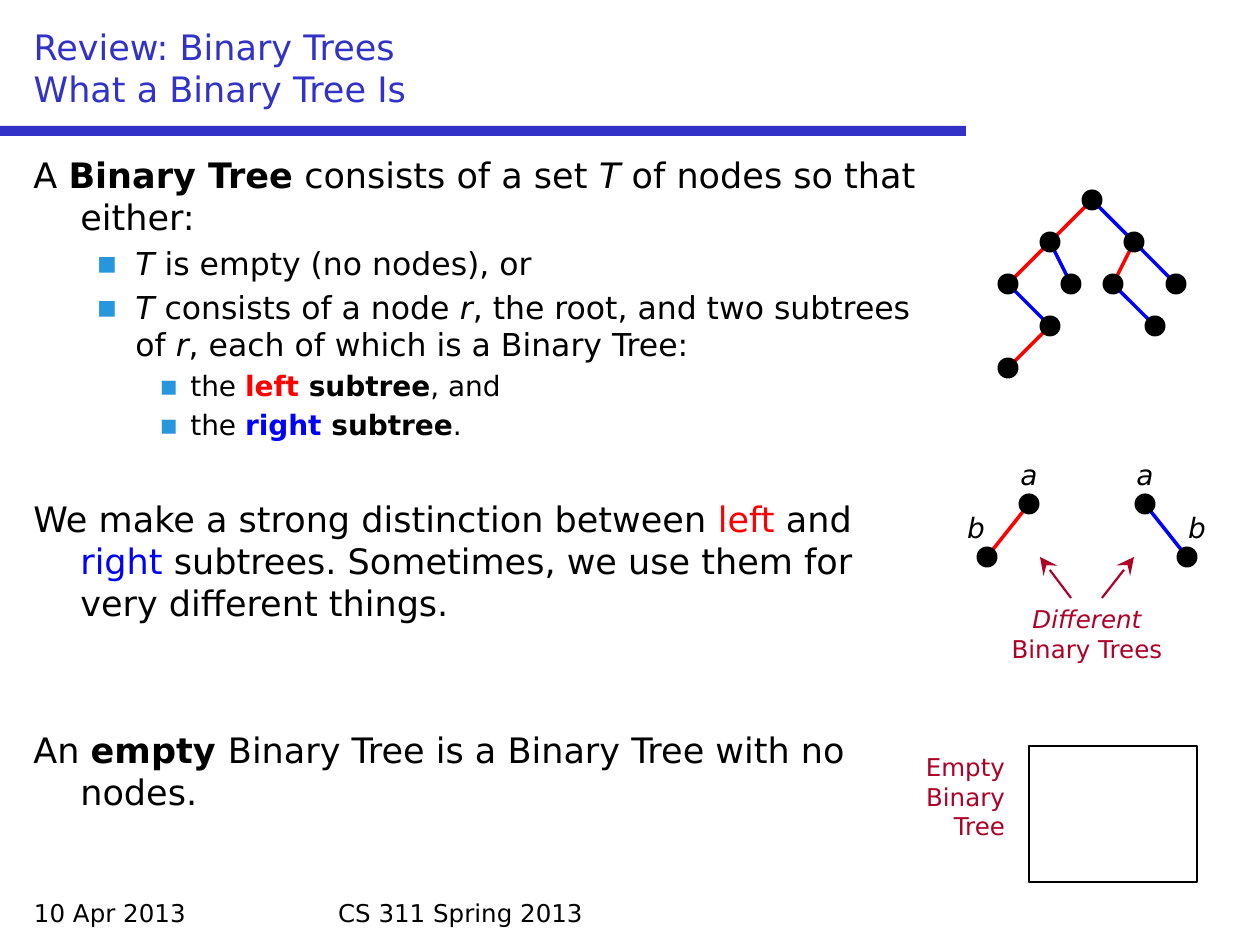
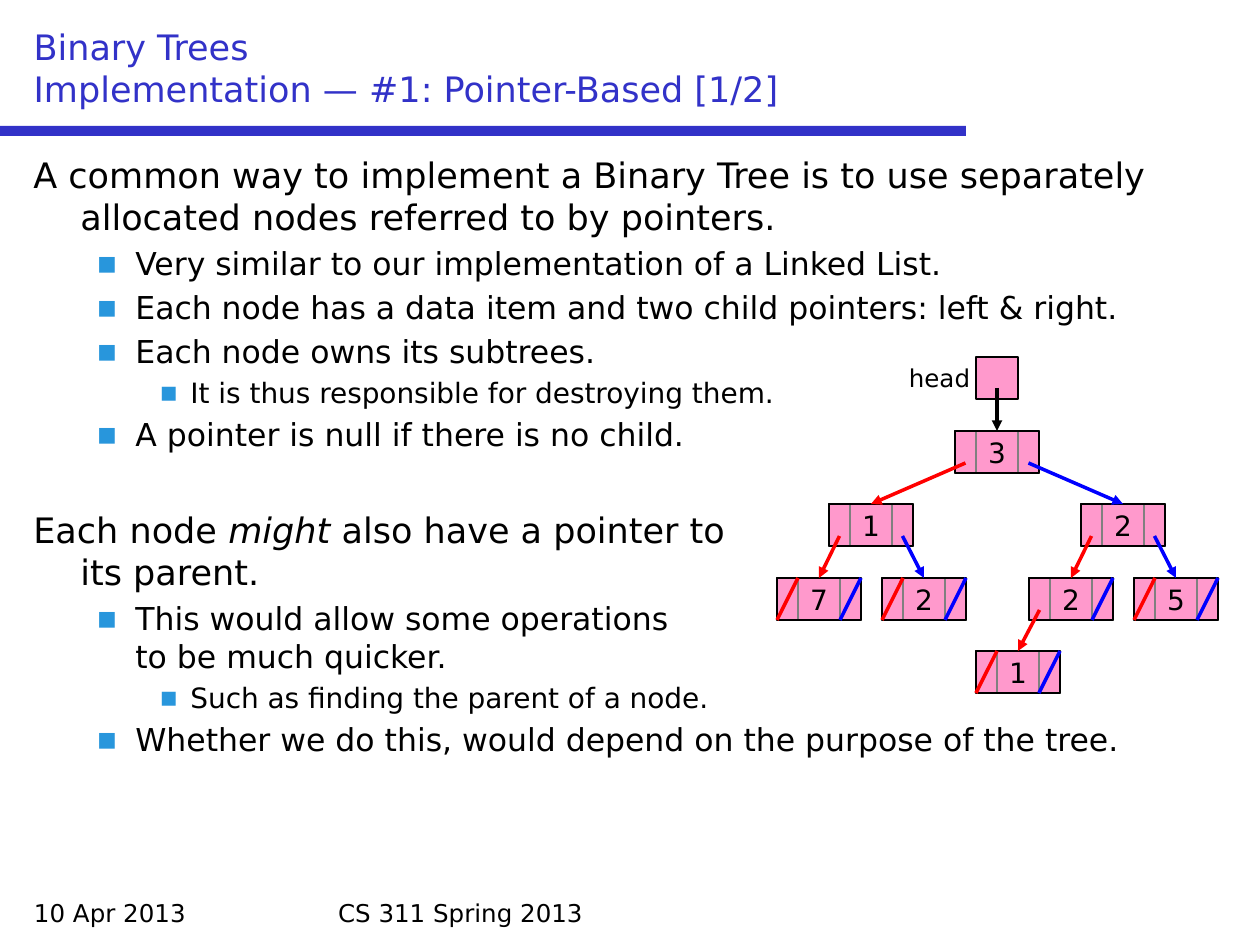
"""Build two lecture slides about binary trees."""
from lxml import etree
from pptx import Presentation
from pptx.dml.color import RGBColor
from pptx.enum.shapes import MSO_CONNECTOR, MSO_SHAPE
from pptx.enum.text import MSO_ANCHOR, MSO_AUTO_SIZE, PP_ALIGN
from pptx.oxml.ns import qn
from pptx.util import Emu, Pt

STRAIGHT = MSO_CONNECTOR.STRAIGHT
RECTANGLE, OVAL = MSO_SHAPE.RECTANGLE, MSO_SHAPE.OVAL
LEFT, CENTER, RIGHT = PP_ALIGN.LEFT, PP_ALIGN.CENTER, PP_ALIGN.RIGHT
MIDDLE, BOTTOM = MSO_ANCHOR.MIDDLE, MSO_ANCHOR.BOTTOM
NO_FIT = MSO_AUTO_SIZE.NONE

EMU_PER_PIXEL = 914400 / 126
FONT = "DejaVu Sans"
TITLE_SIZE = 20
TITLE_ONLY = 5
COLORS = {
    "black": "000000",
    "title": "3232C8",
    "bullet": "2896DC",
    "red": "FF0000",
    "blue": "0000FF",
    "note": "AF0028",
    "pink": "FF99CC",
    "gray": "808080",
}
# Each level holds its text size, left margin and hanging indent.
LEVELS = [(20, 47, 47), (18, 102, 39), (16, 157, 31)]
ONE_GAP, TWO_GAPS = 32, 60
NODE_WIDTH, NODE_HEIGHT, POINTER_WIDTH = 84, 42, 21

REVIEW_TEXT = [
    (0, ["A ", ("Binary Tree", "bold"), " consists of a set ", ("T", "italic"),
         " of nodes so that either:"]),
    (1, [("T", "italic"), " is empty (no nodes), or"]),
    (1, [("T", "italic"), " consists of a node ", ("r", "italic"),
         ", the root, and two subtrees of ", ("r", "italic"),
         ", each of which is a Binary Tree:"]),
    (2, ["the ", ("left ", "bold", "red"), ("subtree", "bold"), ", and"]),
    (2, ["the ", ("right ", "bold", "blue"), ("subtree", "bold"), "."]),
    (0, ["We make a strong distinction between ", ("left", "red"), " and ",
         ("right ", "blue"),
         "subtrees. Sometimes, we use them for very different things."], ONE_GAP),
    (0, ["An ", ("empty ", "bold"), "Binary Tree is a Binary Tree with no nodes."],
     TWO_GAPS),
]
POINTER_TEXT = [
    (0, ["A common way to implement a Binary Tree is to use separately "
         "allocated nodes referred to by pointers."]),
    (1, ["Very similar to our implementation of a Linked List."]),
    (1, ["Each node has a data item and two child pointers: left & right."]),
    (1, ["Each node owns its subtrees."]),
    (2, ["It is thus responsible for destroying them."]),
    (1, ["A pointer is null if there is no child."]),
    (0, ["Each node ", ("might", "italic"), " also have a pointer to", "\n",
         "its parent."], ONE_GAP),
    (1, ["This would allow some operations", "\n", "to be much quicker."]),
    (2, ["Such as finding the parent of a node."]),
    (1, ["Whether we do this, would depend on the purpose of the tree."]),
]
# A dot tree is (x, y, children); a pointer tree is (x, y, value, left, right).
LARGE_TREE = (1092, 200, [
    (1050, 242, [
        (1008, 284, [(1050, 326, [(1008, 368, [])])]),
        (1071, 284, [])]),
    (1134, 242, [
        (1113, 284, [(1155, 326, [])]),
        (1176, 284, [])]),
])
LEFT_TREE = (1029, 504, [(987, 557, [])])
RIGHT_TREE = (1145, 504, [(1187, 557, [])])
POINTER_TREE = (
    955, 431, "3",
    (829, 504, "1",
     (777, 578, "7", None, None),
     (882, 578, "2", None, None)),
    (1081, 504, "2",
     (1029, 578, "2", (976, 651, "1", None, None), None),
     (1134, 578, "5", None, None)),
)


def px(length):
    """Turn pixels into EMU."""
    return Emu(round(length * EMU_PER_PIXEL))


def rgb(name):
    """Return a named colour."""
    return RGBColor.from_string(COLORS[name])


def style_span(span, size, color="black", styles=()):
    """Format one run."""
    span.font.name = FONT
    span.font.size = Pt(size)
    span.font.color.rgb = rgb(color)
    span.font.bold = "bold" in styles
    span.font.italic = "italic" in styles


def add_spans(para, pieces, size, color="black"):
    """Fill a paragraph with plain or styled pieces of text."""
    for piece in pieces:
        if piece == "\n":
            para.add_line_break()
            continue
        text, *styles = (piece,) if isinstance(piece, str) else piece
        span = para.add_run()
        span.text = text
        own_color = next((name for name in styles if name in COLORS), color)
        style_span(span, size, own_color, styles)


def add_text(page, area, pieces, size, color="black", align=LEFT, inset=13):
    """Add a text box with one paragraph."""
    box = page.shapes.add_textbox(*map(px, area))
    frame = box.text_frame
    frame.word_wrap = True
    frame.margin_left = frame.margin_right = px(inset)
    para = frame.paragraphs[0]
    para.alignment = align
    add_spans(para, pieces, size, color)


def add_bullet(para):
    """Give a paragraph a small square bullet."""
    properties = para._p.get_or_add_pPr()
    bullet_color = etree.SubElement(properties, qn("a:buClr"))
    etree.SubElement(bullet_color, qn("a:srgbClr"), val=COLORS["bullet"])
    etree.SubElement(properties, qn("a:buFont"), typeface=FONT)
    etree.SubElement(properties, qn("a:buChar"), char="▪")


def add_body(page, width, items):
    """Add the outline text of a slide."""
    box = page.shapes.add_textbox(px(21), px(147), px(width), px(735))
    frame = box.text_frame
    frame.word_wrap = True
    for index, (level, pieces, *gap) in enumerate(items):
        para = frame.add_paragraph() if index else frame.paragraphs[0]
        size, margin, hanging = LEVELS[level]
        para.level = level
        para.space_before = Pt(gap[0] if gap else size * 0.2)
        properties = para._p.get_or_add_pPr()
        properties.set("marL", str(px(margin)))
        properties.set("indent", str(-px(hanging)))
        if level:
            add_bullet(para)
        add_spans(para, pieces, size)


def add_box(page, area, fill=None, line=None, width=1.25, kind=RECTANGLE):
    """Add a preset shape with an optional fill and outline."""
    box = page.shapes.add_shape(kind, *map(px, area))
    box.shadow.inherit = False
    if fill:
        box.fill.solid()
        box.fill.fore_color.rgb = rgb(fill)
    else:
        box.fill.background()
    if line:
        box.line.color.rgb = rgb(line)
        box.line.width = Pt(width)
    else:
        box.line.fill.background()
    return box


def add_line(page, start, end, color, width=2, head=None, head_size="med"):
    """Add a straight line, with an arrowhead at its end if one is named."""
    line = page.shapes.add_connector(STRAIGHT, *map(px, (*start, *end)))
    line.line.color.rgb = rgb(color)
    line.line.width = Pt(width)
    if head:
        etree.SubElement(line.line._get_or_add_ln(), qn("a:tailEnd"),
                         type=head, w=head_size, len=head_size)
    etree.SubElement(line._element.spPr, qn("a:effectLst"))


def draw_dot_tree(page, tree):
    """Draw a tree of dots with red left and blue right edges."""
    x, y, children = tree
    for child in children:
        color = "red" if child[0] < x else "blue"
        add_line(page, (x, y), child[:2], color)
        draw_dot_tree(page, child)
    add_box(page, (x - 10.5, y - 10.5, 21, 21), fill="black", kind=OVAL)


def draw_pointer_node(page, x, y, value):
    """Draw a node with a data cell between two pointer cells."""
    area = (x, y, NODE_WIDTH, NODE_HEIGHT)
    add_box(page, area, fill="pink", line="black")
    cell = add_box(page, (x + POINTER_WIDTH, y, 42, NODE_HEIGHT),
                   line="gray", width=0.75)
    frame = cell.text_frame
    frame.text = value
    frame.word_wrap = False
    frame.vertical_anchor = MIDDLE
    frame.paragraphs[0].alignment = CENTER
    style_span(frame.paragraphs[0].runs[0], 16)
    add_box(page, area, line="black")


def draw_pointer_tree(page, tree):
    """Draw a tree of nodes, with arrows to children and slashes for null."""
    x, y, value, left, right = tree
    draw_pointer_node(page, x, y, value)
    sides = ((left, x, "red"), (right, x + NODE_WIDTH - POINTER_WIDTH, "blue"))
    for child, cell_x, color in sides:
        if child:
            draw_pointer_tree(page, child)
            add_line(page, (cell_x + POINTER_WIDTH / 2, y + 32),
                     (child[0] + NODE_WIDTH / 2, child[1]), color, head="triangle")
        else:
            add_line(page, (cell_x, y + NODE_HEIGHT),
                     (cell_x + POINTER_WIDTH, y), color)


def add_page(deck, title):
    """Add a slide with the shared title, band and footers."""
    page = deck.slides.add_slide(deck.slide_layouts[TITLE_ONLY])
    add_box(page, (0, 126, 966, 10), fill="title")
    add_text(page, (21, 892, 294, 42), ["10 Apr 2013"], 14)
    add_text(page, (325, 892, 609, 42), ["CS 311 Spring 2013"], 14)
    box = page.shapes.title
    box.left, box.top, box.width, box.height = map(px, (21, 21, 1218, 95))
    frame = box.text_frame
    frame.text = title
    frame.auto_size = NO_FIT
    frame.vertical_anchor = BOTTOM
    frame.paragraphs[0].alignment = LEFT
    for span in frame.paragraphs[0].runs:
        style_span(span, TITLE_SIZE, "title")
    return page


def build_review(deck):
    """Build the slide that defines binary trees."""
    page = add_page(deck, "Review: Binary Trees\vWhat a Binary Tree Is")
    add_body(page, 924, REVIEW_TEXT)
    for tree in (LARGE_TREE, LEFT_TREE, RIGHT_TREE):
        draw_dot_tree(page, tree)
    for letter, x, y in (("a", 1008, 451), ("b", 955, 504),
                         ("a", 1124, 451), ("b", 1176, 504)):
        add_text(page, (x, y, 42, 46), [(letter, "italic")], 16,
                 align=CENTER, inset=0)
    add_text(page, (987, 598, 200, 73), [("Different", "italic"), " Binary Trees"],
             14, "note", CENTER)
    for start_x, end_x in ((1071, 1040), (1102, 1134)):
        add_line(page, (start_x, 598), (end_x, 557), "note", 1.25, "stealth", "lg")
    add_text(page, (892, 746, 126, 102), ["Empty Binary Tree"], 14, "note", RIGHT)
    add_box(page, (1029, 746, 168, 136), line="black")


def build_pointers(deck):
    """Build the slide on the pointer-based implementation."""
    page = add_page(deck, "Binary Trees\vImplementation — #1: Pointer-Based [1/2]")
    add_body(page, 1218, POINTER_TEXT)
    draw_pointer_tree(page, POINTER_TREE)
    add_text(page, (892, 357, 95, 43), ["head"], 14, align=CENTER)
    add_box(page, (976, 357, 42, 42), fill="pink", line="black")
    add_line(page, (997, 388), (997, 431), "black", head="triangle")


def main():
    """Build and save the deck."""
    deck = Presentation()
    deck.slide_width, deck.slide_height = px(1260), px(945)
    title_style = deck.slide_master.element.find(".//" + qn("p:titleStyle"))
    for default in title_style.iter(qn("a:defRPr")):
        default.set("sz", str(TITLE_SIZE * 100))
    build_review(deck)
    build_pointers(deck)
    deck.save("out.pptx")


main()
